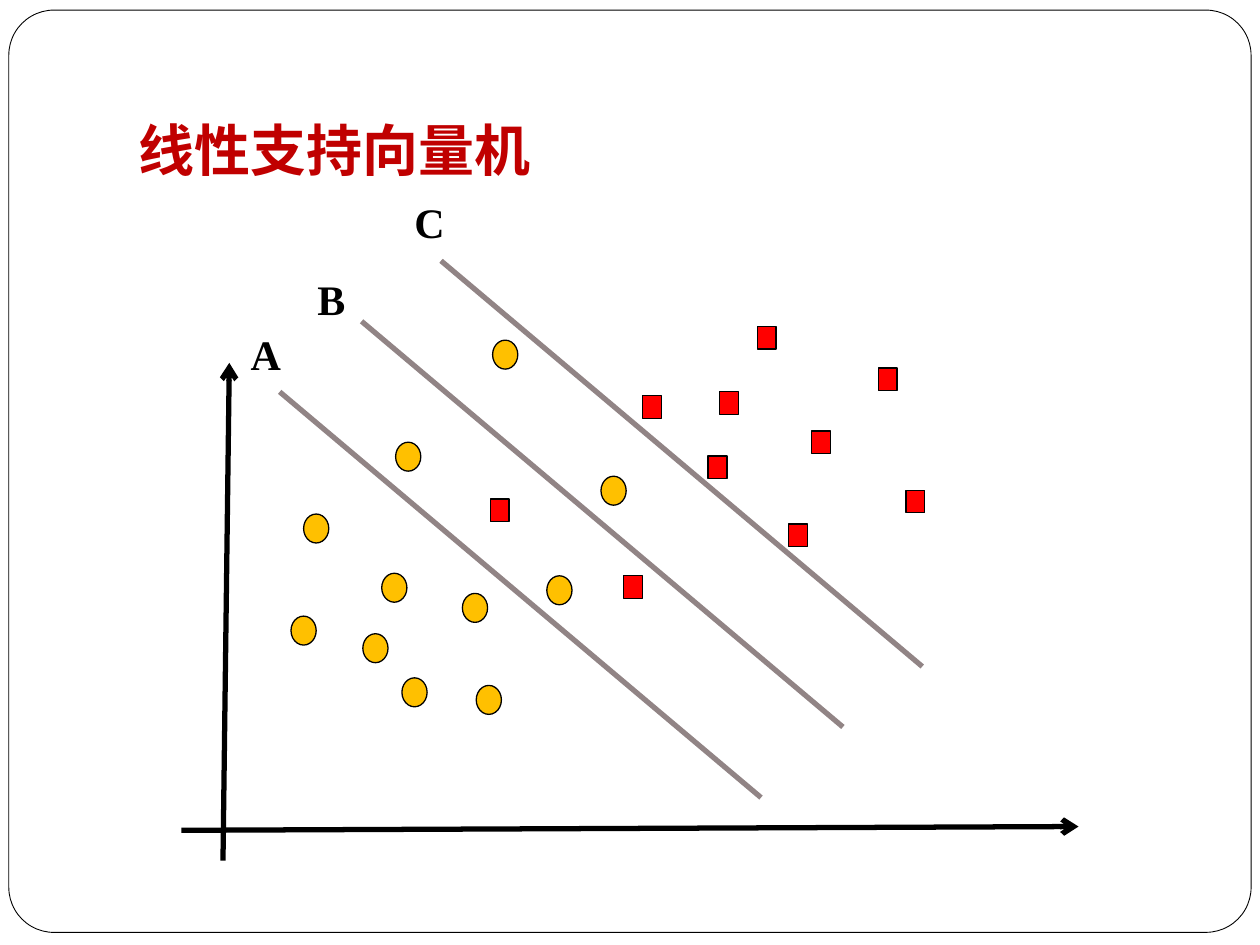
from typing import NamedTuple

from lxml import etree
from pptx import Presentation
from pptx.dml.color import RGBColor
from pptx.enum.shapes import MSO_CONNECTOR, MSO_SHAPE
from pptx.enum.text import MSO_ANCHOR
from pptx.oxml.ns import qn
from pptx.util import Inches, Pt

STRAIGHT = MSO_CONNECTOR.STRAIGHT
OVAL, RECT, ROUNDED = MSO_SHAPE.OVAL, MSO_SHAPE.RECTANGLE, MSO_SHAPE.ROUNDED_RECTANGLE
TOP, BOTTOM = MSO_ANCHOR.TOP, MSO_ANCHOR.BOTTOM

COLORS = {"paper": "FFFFFF", "ink": "000000", "title": "C00000",
          "circle": "FFC000", "square": "FF0000", "boundary": "918485"}
FONT = "Times New Roman"
WIDTH, HEIGHT = 10, 7.5
BOUNDARY_RUN, BOUNDARY_DROP = 3.82, 3.22


class Marker(NamedTuple):
    """A kind of data point: its shape, colour and size."""
    shape: int
    color: str
    w: float
    h: float


class Boundary(NamedTuple):
    """A labelled separating line: its start and its label's corner."""
    name: str
    x: float
    y: float
    label_x: float
    label_y: float


CIRCLE = Marker(OVAL, "circle", 0.2, 0.23)
SQUARE = Marker(RECT, "square", 0.15, 0.18)

POINTS = {
    CIRCLE: [(3.67, 4.71), (2.41, 4.08), (3.78, 5.44), (2.88, 5.03),
             (4.34, 4.57), (3.14, 3.51), (3.03, 4.55), (2.31, 4.89),
             (3.19, 5.38), (3.91, 2.7), (4.77, 3.78)],
    SQUARE: [(5.1, 3.14), (6.01, 2.59), (6.44, 3.42), (5.71, 3.11),
             (6.26, 4.16), (5.62, 3.62), (7.19, 3.89), (6.97, 2.92),
             (3.89, 3.96), (4.95, 4.57)],
}
BOUNDARIES = [
    Boundary("A", 2.22, 3.11, 1.89, 2.56),
    Boundary("B", 2.87, 2.55, 2.42, 2.12),
    Boundary("C", 3.5, 2.07, 3.19, 1.51),
]
AXES = [(1.44, 6.59, 8.56, 6.56), (1.77, 6.83, 1.82, 2.88)]


def rgb(name: str) -> RGBColor:
    """Return a named colour."""
    return RGBColor.from_string(COLORS[name])


def add_outlined(s, kind: int, box: tuple, fill: str, weight: float):
    """Draw a filled shape with a black outline."""
    sp = s.shapes.add_shape(kind, *map(Inches, box))
    sp.shadow.inherit = False
    sp.fill.solid()
    sp.fill.fore_color.rgb = rgb(fill)
    sp.line.color.rgb = rgb("ink")
    sp.line.width = Pt(weight)
    return sp


def add_line(s, ends: tuple, color: str, arrow: bool = False) -> None:
    """Draw a thick straight line, with an arrowhead at its end if asked."""
    sp = s.shapes.add_connector(STRAIGHT, *map(Inches, ends))
    sp.line.color.rgb = rgb(color)
    sp.line.width = Pt(3)
    if arrow:
        etree.SubElement(sp.line._get_or_add_ln(), qn("a:tailEnd"), type="arrow")
    etree.SubElement(sp._element.spPr, qn("a:effectLst"))


def add_text(s, text: str, box: tuple, size: int, color: str,
             anchor=TOP, bottom: float = 0.05) -> None:
    """Write one bold line of text in a box."""
    tf = s.shapes.add_textbox(*map(Inches, box)).text_frame
    frame = {"word_wrap": True, "vertical_anchor": anchor,
             "margin_bottom": Inches(bottom)}
    for key, value in frame.items():
        setattr(tf, key, value)
    r = tf.paragraphs[0].add_run()
    r.text = text
    for key, value in {"name": FONT, "size": Pt(size), "bold": True}.items():
        setattr(r.font, key, value)
    r.font.color.rgb = rgb(color)


def build() -> None:
    """Build the slide and save it."""
    prs = Presentation()
    prs.slide_width, prs.slide_height = Inches(WIDTH), Inches(HEIGHT)
    s = prs.slides.add_slide(prs.slide_layouts[6])

    frame = add_outlined(s, ROUNDED, (0.07, 0.08, 9.86, 7.32), "paper", 0.5)
    frame.adjustments[0] = 0.049
    add_text(s, "线性支持向量机", (1, 0.3, 8.5, 1.25), 32, "title", BOTTOM, 0.1)

    for ends in AXES:
        add_line(s, ends, "ink", arrow=True)
    for b in BOUNDARIES:
        add_line(s, (b.x, b.y, b.x + BOUNDARY_RUN, b.y + BOUNDARY_DROP), "boundary")
        add_text(s, b.name, (b.label_x, b.label_y, 0.42, 0.5), 24, "ink")
    for marker, corners in POINTS.items():
        for x, y in corners:
            add_outlined(s, marker.shape, (x, y, marker.w, marker.h),
                         marker.color, 0.75)

    prs.save("out.pptx")


build()
